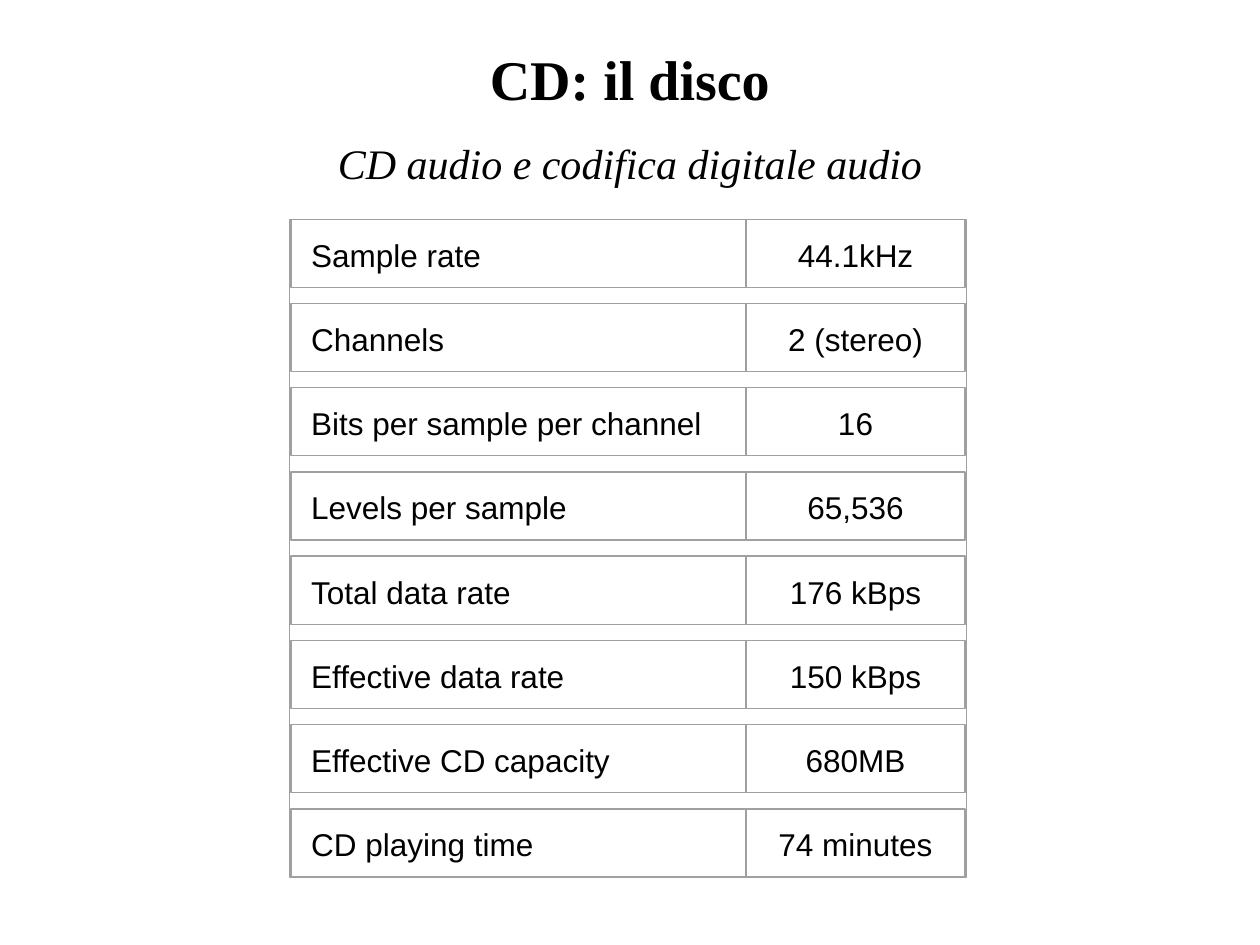
from dataclasses import dataclass

from pptx import Presentation
from pptx.dml.color import RGBColor
from pptx.enum.shapes import MSO_SHAPE as Shape
from pptx.enum.text import MSO_ANCHOR as Anchor, MSO_AUTO_SIZE as AutoSize, PP_ALIGN as Align
from pptx.util import Inches, Pt

COLORS = {"text": "000000", "border": "A0A0A0"}
TABLE_TOP = 1.74
TABLE_HEIGHT = 5.22
ROW_HEIGHT = 0.54


@dataclass
class Column:
    left: float
    width: float
    align: Align


@dataclass
class Parameter:
    name: str
    value: str


COLUMNS = [Column(2.31, 3.61, Align.LEFT), Column(5.92, 1.74, Align.CENTER)]
PARAMETERS = [
    Parameter("Sample rate", "44.1kHz"),
    Parameter("Channels", "2 (stereo)"),
    Parameter("Bits per sample per channel", "16"),
    Parameter("Levels per sample", "65,536"),
    Parameter("Total data rate", "176 kBps"),
    Parameter("Effective data rate", "150 kBps"),
    Parameter("Effective CD capacity", "680MB"),
    Parameter("CD playing time", "74 minutes"),
]


def format_runs(paragraph, font_name: str, size: float, bold=False, italic=False) -> None:
    for run in paragraph.runs:
        font = run.font
        font.name = font_name
        font.size = Pt(size)
        font.bold = bold
        font.italic = italic
        font.color.rgb = RGBColor.from_string(COLORS["text"])


def add_outline(slide, left: float, top: float, width: float, height: float, line_width: float):
    shape = slide.shapes.add_shape(
        Shape.RECTANGLE, Inches(left), Inches(top), Inches(width), Inches(height)
    )
    shape.shadow.inherit = False
    shape.fill.background()
    shape.line.color.rgb = RGBColor.from_string(COLORS["border"])
    shape.line.width = Pt(line_width)
    return shape


def add_cell(slide, column: Column, top: float, text: str) -> None:
    frame = add_outline(slide, column.left, top, column.width, ROW_HEIGHT, 0).text_frame
    frame.margin_left = frame.margin_right = Inches(0.16)
    frame.margin_top, frame.margin_bottom = Inches(0.07), Inches(0.05)
    frame.vertical_anchor = Anchor.MIDDLE
    frame.word_wrap = True
    frame.text = text
    paragraph = frame.paragraphs[0]
    paragraph.alignment = column.align
    format_runs(paragraph, "Arial", 18)


def add_title(slide, title: str, subtitle: str) -> None:
    shape = slide.shapes.title
    shape.left, shape.top = Inches(0), Inches(0.25)
    shape.width, shape.height = Inches(10), Inches(1.24)
    frame = shape.text_frame
    frame.auto_size = AutoSize.NONE
    frame.vertical_anchor = Anchor.TOP
    frame.margin_top = Inches(0.1)
    frame.text = title
    heading = frame.paragraphs[0]
    subheading = frame.add_paragraph()
    subheading.text = subtitle
    subheading.space_before = Pt(15)
    heading.alignment = subheading.alignment = Align.CENTER
    format_runs(heading, "Times New Roman", 32, bold=True)
    format_runs(subheading, "Times New Roman", 24, italic=True)


def main() -> None:
    presentation = Presentation()
    presentation.slide_width, presentation.slide_height = Inches(10), Inches(7.5)
    slide = presentation.slides.add_slide(presentation.slide_layouts[5])
    add_title(slide, "CD: il disco", "CD audio e codifica digitale audio")
    row_pitch = (TABLE_HEIGHT - ROW_HEIGHT) / (len(PARAMETERS) - 1)
    for index, parameter in enumerate(PARAMETERS):
        top = TABLE_TOP + index * row_pitch
        for column, text in zip(COLUMNS, (parameter.name, parameter.value)):
            add_cell(slide, column, top, text)
    add_outline(slide, 2.3, TABLE_TOP, 5.37, TABLE_HEIGHT, 0.75)
    presentation.save("out.pptx")


if __name__ == "__main__":
    main()
